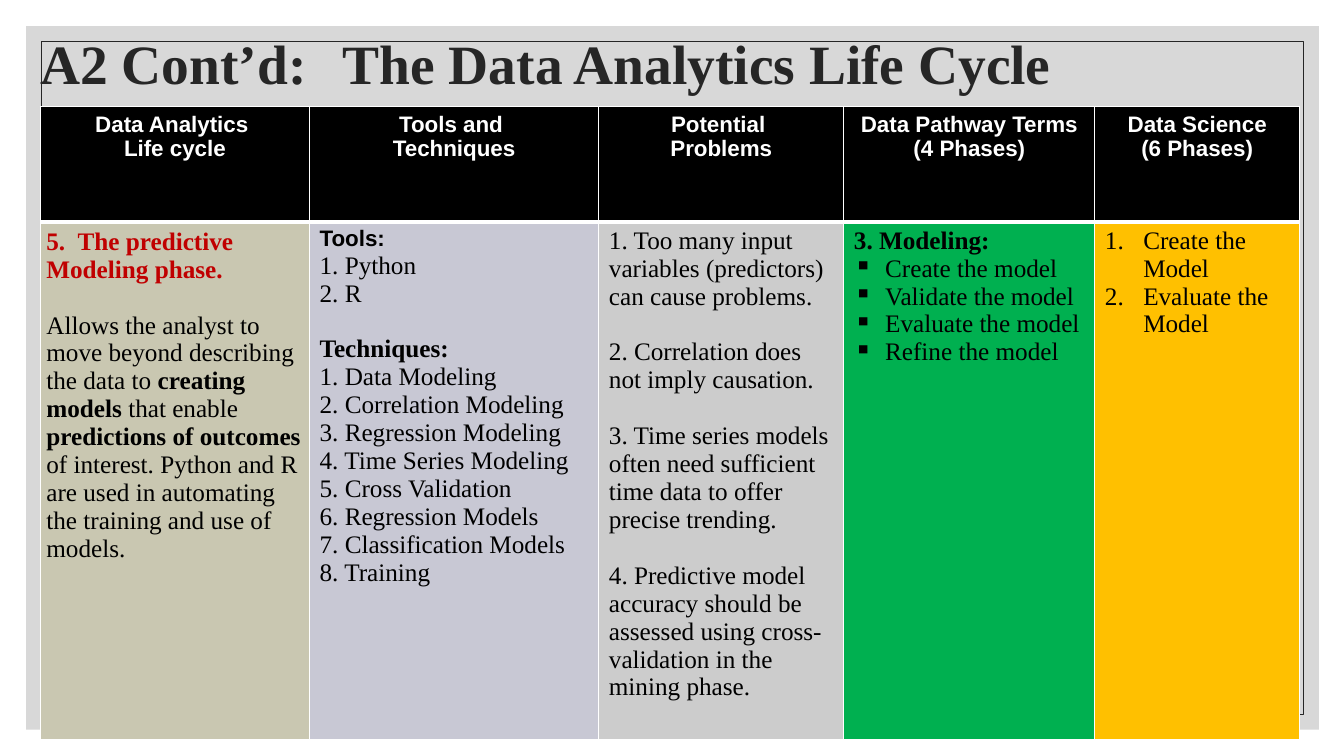
from dataclasses import dataclass

from lxml import etree
from pptx import Presentation
from pptx.dml.color import RGBColor
from pptx.enum.shapes import MSO_SHAPE
from pptx.enum.text import MSO_ANCHOR, PP_ALIGN
from pptx.oxml.ns import qn
from pptx.util import Inches, Pt

RECTANGLE = MSO_SHAPE.RECTANGLE
MIDDLE = MSO_ANCHOR.MIDDLE
CENTER, LEFT = PP_ALIGN.CENTER, PP_ALIGN.LEFT


@dataclass(frozen=True)
class Theme:
    serif: str = "Times New Roman"
    sans: str = "Arial"
    title_size: float = 39.6
    header_size: float = 16
    body_size: float = 18
    gap: float = 20
    white: str = "FFFFFF"
    black: str = "000000"
    dark: str = "262626"
    panel: str = "BFBFBF"
    red: str = "C00000"
    columns: tuple = ("C9C7B1", "C8C8D4", "CCCCCC", "00B050", "FFC000")


@dataclass(frozen=True)
class Line:
    """A paragraph: (text, bold) spans plus its layout."""
    spans: tuple
    gap: bool = False
    bullet: str = ""
    indent: float = 0
    tab: float = 0
    color: str = Theme.black
    font: str = Theme.serif
    size: float = Theme.body_size
    align: int = LEFT


def plain(text, **layout):
    return Line(((text, False),), **layout)


def bold(text, **layout):
    return Line(((text, True),), **layout)


def header(text):
    return bold(text, color=Theme.white, font=Theme.sans,
                size=Theme.header_size, align=CENTER)


def add_child(parent, tag, **attributes):
    child = etree.SubElement(parent, qn(tag))
    for name, value in attributes.items():
        child.set(name, str(value))
    return child


class SlideBuilder:
    def __init__(self, page, theme):
        self.page = page
        self.theme = theme

    def rectangle(self, left, top, width, height, fill=None, alpha=100, line=None):
        box = self.page.shapes.add_shape(
            RECTANGLE, Inches(left), Inches(top), Inches(width), Inches(height))
        box.shadow.inherit = False
        if fill:
            box.fill.solid()
            box.fill.fore_color.rgb = RGBColor.from_string(fill)
            color = box._element.spPr.find(qn("a:solidFill"))[0]
            add_child(color, "a:alpha", val=alpha * 1000)
        else:
            box.fill.background()
        if line:
            box.line.color.rgb = RGBColor.from_string(line)
            box.line.width = Pt(0.5)
        else:
            box.line.fill.background()

    def paragraphs(self, frame, lines):
        frame.word_wrap = True
        for index, line in enumerate(lines):
            para = frame.paragraphs[0] if index == 0 else frame.add_paragraph()
            para.alignment = line.align
            properties = para._p.get_or_add_pPr()
            if line.bullet:
                properties.set("marL", str(Inches(line.indent)))
                properties.set("indent", str(-Inches(line.indent)))
                if line.bullet == "number":
                    add_child(properties, "a:buAutoNum", type="arabicPeriod")
                else:
                    add_child(properties, "a:buChar", char=line.bullet)
            if line.tab:
                stops = add_child(properties, "a:tabLst")
                add_child(stops, "a:tab", pos=Inches(line.tab), algn="l")
            if line.gap:
                para.space_before = Pt(self.theme.gap)
            for text, is_bold in line.spans:
                span = para.add_run()
                span.text = text
                span.font.name = line.font
                span.font.size = Pt(line.size)
                span.font.bold = is_bold
                span.font.color.rgb = RGBColor.from_string(line.color)

    def title(self, left, top, width, height, line):
        box = self.page.shapes.add_textbox(
            Inches(left), Inches(top), Inches(width), Inches(height))
        frame = box.text_frame
        frame.margin_top = frame.margin_bottom = 0
        frame.vertical_anchor = MIDDLE
        self.paragraphs(frame, [line])
        frame.paragraphs[0].line_spacing = 0.9

    def cell(self, cell, lines, fill, borders):
        properties = cell._tc.get_or_add_tcPr()
        for side, width in borders.items():
            edge = add_child(properties, f"a:ln{side}", w=Pt(width))
            paint = add_child(edge, "a:solidFill")
            add_child(paint, "a:srgbClr", val=self.theme.white)
        cell.fill.solid()
        cell.fill.fore_color.rgb = RGBColor.from_string(fill)
        self.paragraphs(cell.text_frame, lines)

    def table(self, left, top, widths, heights, headers, bodies):
        grid = self.page.shapes.add_table(
            len(heights), len(widths), Inches(left), Inches(top),
            Inches(sum(widths)), Inches(sum(heights))).table
        grid.first_row = grid.horz_banding = False
        for row, height in zip(grid.rows, heights):
            row.height = Inches(height)
        for index, width in enumerate(widths):
            grid.columns[index].width = Inches(width)
            self.cell(grid.cell(0, index), [header(text) for text in headers[index]],
                      self.theme.black, {"L": 1, "R": 1, "T": 1, "B": 3})
            self.cell(grid.cell(1, index), bodies[index],
                      self.theme.columns[index], {"L": 1, "R": 1, "T": 3, "B": 1})
        return grid


HEADERS = [
    ("Data Analytics ", "Life cycle"),
    ("Tools and ", "Techniques"),
    ("Potential ", "Problems"),
    ("Data Pathway Terms", "(4 Phases)"),
    ("Data Science", "(6 Phases)"),
]
TECHNIQUES = ["Data Modeling", "Correlation Modeling", "Regression Modeling",
              "Time Series Modeling", "Cross Validation", "Regression Models",
              "Classification Models", "Training"]
PROBLEMS = [
    "Too many input variables (predictors) can cause problems.",
    "Correlation does not imply causation.",
    "Time series models often need sufficient time data to offer precise trending.",
    "Predictive model accuracy should be assessed using cross-validation in the mining phase.",
]
MODELING = ["Create the model", "Validate the model", "Evaluate the model", "Refine the model"]
SCIENCE = ["Create the Model", "Evaluate the Model"]


def numbered(texts, spaced=False):
    return [plain(f"{number}. {text}", gap=spaced and number > 1)
            for number, text in enumerate(texts, 1)]


BODIES = [
    [bold("5.\tThe predictive", color=Theme.red, tab=0.31),
     bold("Modeling phase.", color=Theme.red),
     Line((("Allows the analyst to move beyond describing the data to ", False),
           ("creating models", True),
           (" that enable ", False),
           ("predictions of outcomes", True),
           (" of interest. Python and R are used in automating "
            "the training and use of models.", False)), gap=True)],
    [bold("Tools:", font=Theme.sans, size=Theme.header_size),
     *numbered(["Python", "R"]),
     bold("Techniques:", gap=True),
     *numbered(TECHNIQUES)],
    numbered(PROBLEMS, spaced=True),
    [bold("3. Modeling:"), *(plain(text, bullet="▪", indent=0.31) for text in MODELING)],
    [plain(text, bullet="number", indent=0.38) for text in SCIENCE],
]


def main():
    deck = Presentation()
    deck.slide_width, deck.slide_height = Inches(13.33), Inches(7.5)
    theme = Theme()
    builder = SlideBuilder(deck.slides.add_slide(deck.slide_layouts[6]), theme)

    # Background panel and frame
    builder.rectangle(0.26, 0.26, 12.82, 6.98, fill=theme.panel, alpha=60)
    builder.rectangle(0.41, 0.41, 12.52, 6.68, line=theme.dark)

    # Title
    builder.title(0.3, 0.38, 11.86, 0.55, bold(
        "A2 Cont’d: \tThe Data Analytics Life Cycle",
        color=theme.dark, size=theme.title_size, tab=3))

    # Life cycle table
    grid = builder.table(0.4, 1.06, [2.67, 2.87, 2.43, 2.49, 2.03], [1.14, 5.05],
                         HEADERS, BODIES)
    phase = grid.cell(1, 0)
    phase.margin_left = phase.margin_right = Inches(0.06)
    phase.margin_top = phase.margin_bottom = Inches(0.06)

    deck.save("out.pptx")


if __name__ == "__main__":
    main()
